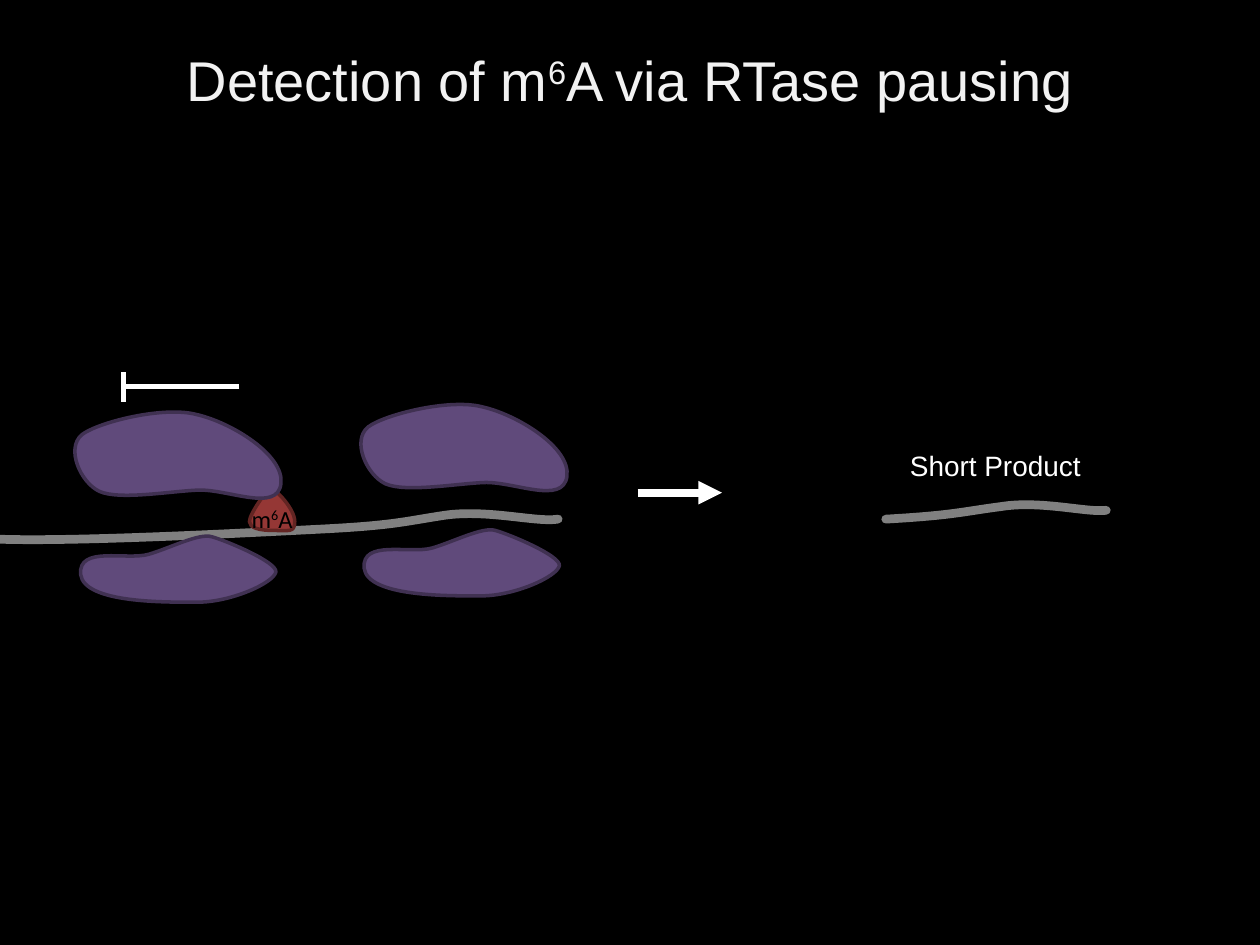
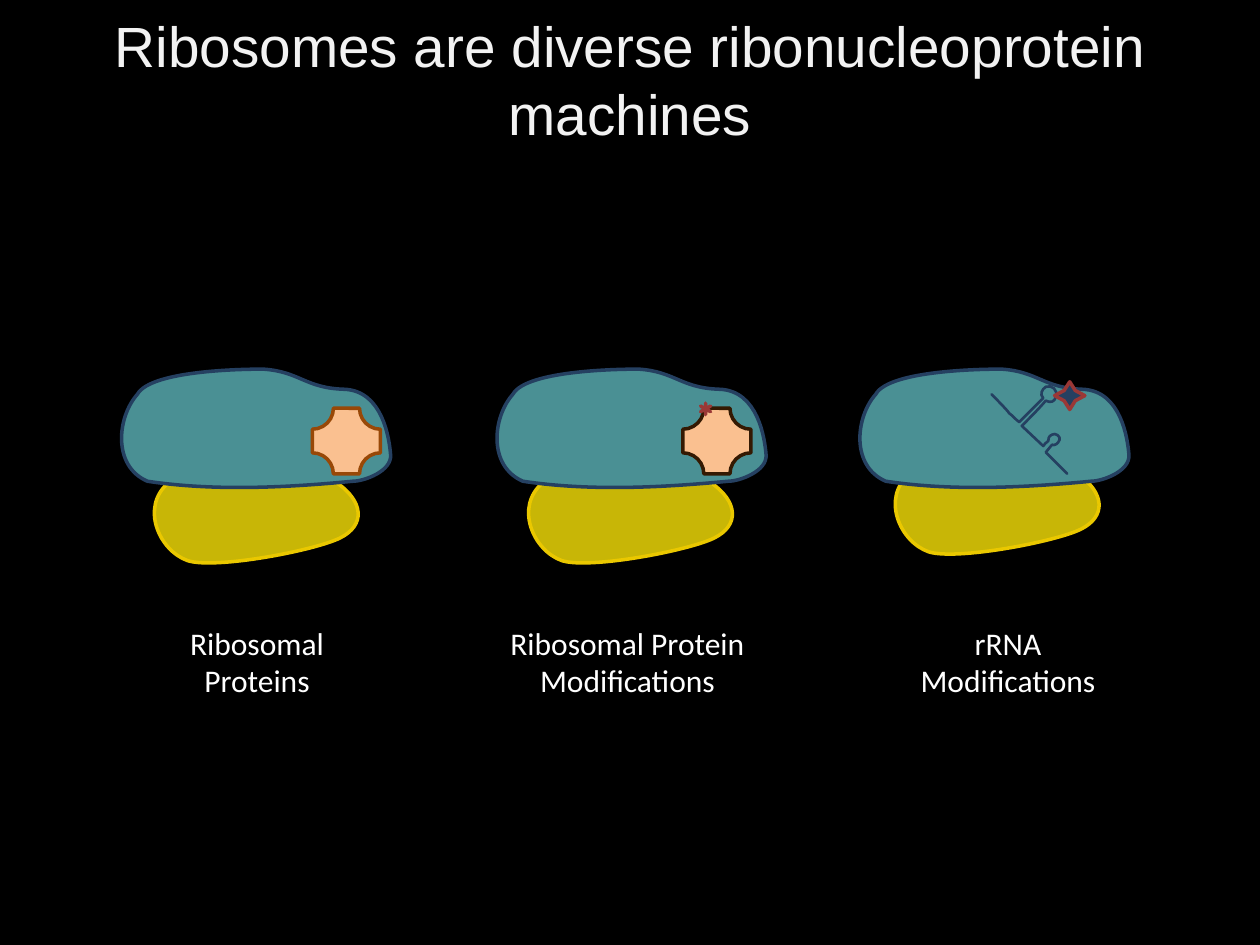
"""Build two slides: m6A detection by RTase pausing, and ribosome diversity."""
from lxml.etree import SubElement
from pptx import Presentation
from pptx.dml.color import RGBColor
from pptx.enum.shapes import MSO_CONNECTOR, MSO_SHAPE
from pptx.enum.text import MSO_ANCHOR, MSO_AUTO_SIZE, PP_ALIGN
from pptx.oxml.ns import qn
from pptx.util import Inches, Pt

rgb = RGBColor.from_string
WHITE, BLACK, TITLE, GREY = "FFFFFF", "000000", "F2F2F2", "808080"
PURPLE, PURPLE_EDGE = "604A7B", "403152"
TEAL, NAVY, OLIVE, YELLOW = "4A9094", "254061", "C8B606", "EAC800"
PEACH, RED = "FAC090", "9A3836"


def draw(s, outline, fill, line, width=2, dx=0, dy=0, preset=None):
    """Draw a preset in a box, or a chain of cubic curves through points."""
    if preset:
        sp = s.shapes.add_shape(preset, *[Inches(v) for v in outline])
    else:
        pts = [(Inches(x + dx), Inches(y + dy)) for x, y in outline]
        fb = s.shapes.build_freeform(*pts[0], scale=1.0)
        fb.add_line_segments(pts[1:], close=pts[0] == pts[-1])
        sp = fb.convert_to_shape()
        path = sp._element.find(".//" + qn("a:path"))
        segments = path.findall(qn("a:lnTo"))
        for i in range(0, len(segments), 3):
            curve = SubElement(path, qn("a:cubicBezTo"))
            segments[i].addprevious(curve)
            for seg in segments[i:i + 3]:
                curve.append(seg[0])
                path.remove(seg)
    sp.shadow.inherit = False
    if fill:
        sp.fill.solid()
        sp.fill.fore_color.rgb = rgb(fill)
    else:
        sp.fill.background()
    sp.line.color.rgb = rgb(line)
    sp.line.width = Pt(width)
    if not fill:
        sp._element.spPr.find(qn("a:ln")).set("cap", "rnd")
    return sp


def write(sp, runs, color, size, name="Arial", **frame):
    """Write centred runs, the second one superscript."""
    tf = sp.text_frame
    for key, value in {"word_wrap": True, **frame}.items():
        setattr(tf, key, value)
    p = tf.paragraphs[0]
    p.alignment = PP_ALIGN.CENTER
    for i, text in enumerate(runs):
        r = p.add_run()
        r.text = text
        for key, value in {"size": Pt(size), "name": name}.items():
            setattr(r.font, key, value)
        r.font.color.rgb = rgb(color)
        if i == 1:
            r._r.get_or_add_rPr().set("baseline", "30000")


prs = Presentation()
prs.slide_width, prs.slide_height = Inches(10), Inches(7.5)
background = prs.slide_master.background.fill
background.solid()
background.fore_color.rgb = rgb(BLACK)

slides = []
for runs, size in [
    (["Detection of m", "6", "A via RTase pausing"], 32),
    (["Ribosomes are diverse ribonucleoprotein machines"], 32.4),
]:
    s = prs.slides.add_slide(prs.slide_layouts[5])
    title = s.shapes.title
    title.left, title.top = Inches(0), Inches(0)
    title.width, title.height = Inches(10), Inches(1.25)
    write(title, runs, TITLE, size, vertical_anchor=MSO_ANCHOR.MIDDLE,
          auto_size=MSO_AUTO_SIZE.NONE)
    slides.append(s)
pausing, diversity = slides

template_strand = [
    (0, 4.28), (0.62, 4.3), (1.95, 4.23), (2.54, 4.2), (3.13, 4.17),
    (3.2, 4.14), (3.53, 4.09), (3.87, 4.04), (4.27, 4.15), (4.43, 4.12)]
short_strand = [
    (7.03, 4.12), (7.57, 4.09), (7.64, 4.06), (7.95, 4.02),
    (8.26, 3.97), (8.63, 4.07), (8.78, 4.05)]
methyl_mark = [
    (1.98, 4.14), (1.98, 4.08), (2.12, 3.88), (2.15, 3.88),
    (2.19, 3.88), (2.34, 4.04), (2.34, 4.14), (2.34, 4.23),
    (2.29, 4.21), (2.17, 4.21), (2.06, 4.21), (1.98, 4.19), (1.98, 4.14)]
rtase_top = [
    (0.65, 3.45), (0.52, 3.56), (0.64, 3.83), (0.79, 3.9), (0.95, 3.97),
    (1.34, 3.9), (1.57, 3.89), (1.81, 3.88), (2.2, 4.07), (2.23, 3.84),
    (2.26, 3.61), (1.83, 3.35), (1.56, 3.29), (1.3, 3.22), (0.78, 3.35),
    (0.65, 3.45)]
rtase_bottom = [
    (2.19, 4.54), (2.2, 4.46), (1.79, 4.29), (1.68, 4.26), (1.58, 4.23),
    (1.35, 4.35), (1.18, 4.4), (1, 4.45), (0.62, 4.33), (0.64, 4.56),
    (0.67, 4.79), (1.32, 4.78), (1.57, 4.78), (1.83, 4.78), (2.17, 4.63),
    (2.19, 4.54)]

for strand in (template_strand, short_strand):
    draw(pausing, strand, None, GREY, 5)
mark = draw(pausing, methyl_mark, "953735", "632523")
write(mark, ["m", "6", "A"], BLACK, 14, "Calibri", word_wrap=False,
      vertical_anchor=MSO_ANCHOR.BOTTOM, margin_left=0, margin_right=0,
      margin_top=0, margin_bottom=0)
for part, dx, dy in [(rtase_top, 2.27, -0.06), (rtase_bottom, 2.25, -0.05)]:
    draw(pausing, part, PURPLE, PURPLE_EDGE)
    draw(pausing, part, PURPLE, PURPLE_EDGE, dx=dx, dy=dy)

for x1, y1, x2, y2, width, tail in [
    (5.06, 3.91, 5.73, 3.91, 4.5, "triangle"),
    (1.9, 3.07, 0.98, 3.07, 3, None),
    (0.98, 3.19, 0.98, 2.95, 3, None),
]:
    cx = pausing.shapes.add_connector(
        MSO_CONNECTOR.STRAIGHT, Inches(x1), Inches(y1), Inches(x2), Inches(y2))
    cx.line.color.rgb = rgb(WHITE)
    cx.line.width = Pt(width)
    spPr = cx._element.spPr
    if tail:
        SubElement(spPr.find(qn("a:ln")), qn("a:tailEnd"), type=tail)
    SubElement(spPr, qn("a:effectLst"))

small_subunit = [
    (1.49, 4.45), (1.26, 4.37), (1.11, 4.02), (1.34, 3.83), (1.95, 3.8),
    (2.22, 3.75), (2.67, 3.83), (2.89, 3.98), (2.9, 4.17), (2.7, 4.27),
    (2.5, 4.37), (1.71, 4.52), (1.49, 4.45)]
large_subunit = [
    (1.09, 3.13), (1.2, 2.93), (2, 2.93), (2.09, 2.93), (2.38, 2.95),
    (2.42, 3.08), (2.73, 3.09), (3.04, 3.1), (3.09, 3.49), (3.1, 3.61),
    (3.11, 3.74), (2.89, 3.82), (2.8, 3.82), (2.28, 3.87), (1.7, 3.9),
    (1.17, 3.82), (0.89, 3.7), (0.93, 3.31), (1.09, 3.13)]
rrna_helix = [
    (7.87, 3.13), (7.89, 3.15), (8, 3.26), (8.01, 3.28),
    (8.04, 3.3), (8.06, 3.33), (8.09, 3.35), *[(8.28, 3.16)] * 3,
    (8.25, 3.13), (8.27, 3.09), (8.3, 3.07), (8.35, 3.05), (8.4, 3.1),
    (8.38, 3.15), (8.37, 3.19), (8.34, 3.2), (8.3, 3.18), (8.24, 3.25),
    (8.18, 3.31), (8.11, 3.38), *[(8.28, 3.54)] * 3, (8.29, 3.52),
    (8.3, 3.52), (8.32, 3.5), (8.32, 3.49), (8.32, 3.46), (8.35, 3.45),
    (8.38, 3.43), (8.42, 3.47), (8.41, 3.49), (8.4, 3.52), (8.37, 3.54),
    (8.35, 3.53), (8.32, 3.56), (8.32, 3.56), (8.3, 3.59),
    *[(8.47, 3.76)] * 3]

for label, left, width, small_dx, small_dy, large_dx in [
    ("Ribosomal Proteins", 1.25, 1.58, 0, 0, 0),
    ("Ribosomal Protein Modifications", 3.9, 2.16, 2.97, 0, 2.98),
    ("rRNA Modifications", 7.16, 1.68, 5.88, -0.07, 5.86),
]:
    draw(diversity, small_subunit, OLIVE, YELLOW, dx=small_dx, dy=small_dy)
    draw(diversity, large_subunit, TEAL, NAVY, dx=large_dx)
    box = diversity.shapes.add_textbox(
        Inches(left), Inches(4.9), Inches(width), Inches(0.71))
    write(box, [label], WHITE, 18, "Calibri")

draw(diversity, rrna_helix, None, NAVY, 1.5)
for preset, box, adj, fill, line in [
    (MSO_SHAPE.PLAQUE, (2.48, 3.24, 0.54, 0.52), 0.32, PEACH, "984807"),
    (MSO_SHAPE.PLAQUE, (5.42, 3.24, 0.54, 0.52), 0.32, PEACH, "341902"),
    (MSO_SHAPE.STAR_6_POINT, (5.56, 3.2, 0.08, 0.09), 0, "4F81BD", RED),
    (MSO_SHAPE.STAR_4_POINT, (8.37, 3.03, 0.24, 0.22), 0.26, NAVY, RED),
]:
    sp = draw(diversity, box, fill, line, preset=preset)
    sp.adjustments[0] = adj

product = pausing.shapes.add_textbox(
    Inches(6.78), Inches(3.51), Inches(2.24), Inches(0.37))
write(product, ["Short Product"], WHITE, 16)

prs.save("out.pptx")
